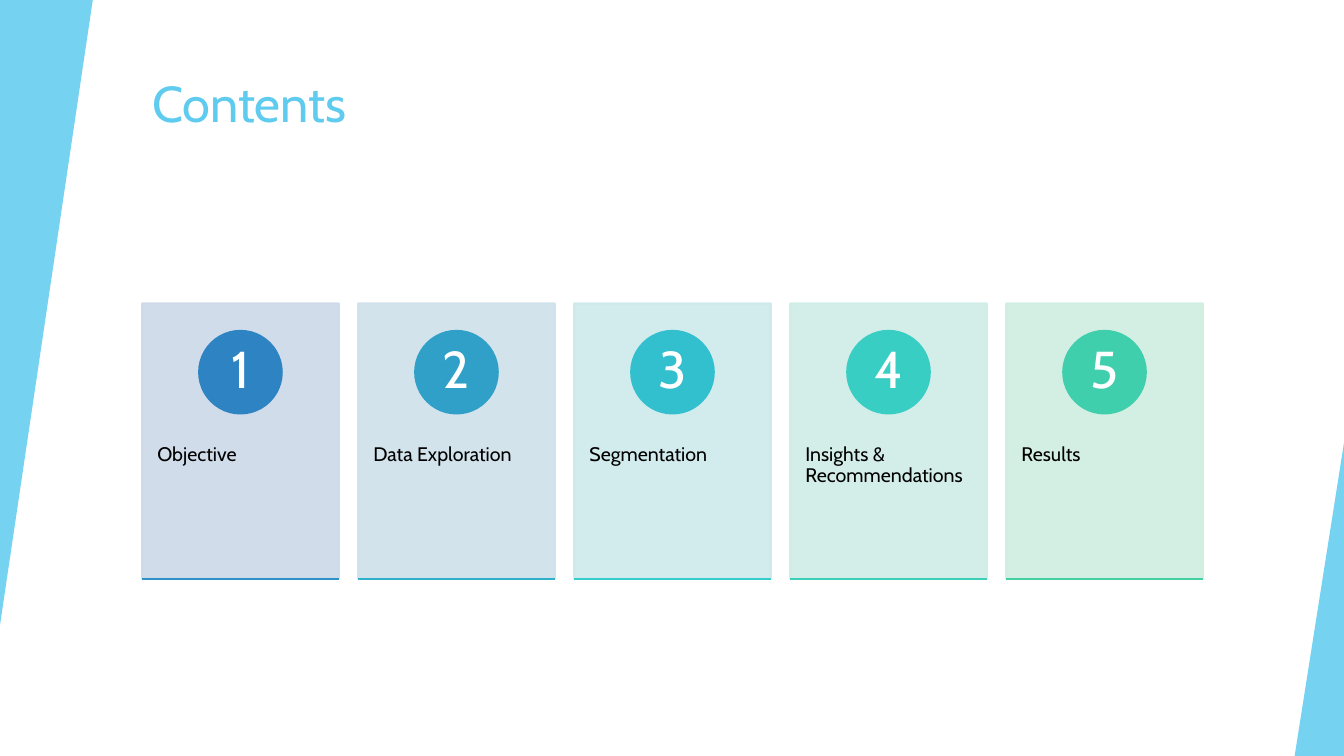
import pptx
import pptx.util
import pptx.dml.color
import pptx.enum.shapes
import pptx.enum.text
import pptx.oxml
import pptx.oxml.ns
from dataclasses import dataclass

Inches, Pt = pptx.util.Inches, pptx.util.Pt
SHAPE = pptx.enum.shapes.MSO_SHAPE
ALIGN = pptx.enum.text.PP_ALIGN
ANCHOR = pptx.enum.text.MSO_ANCHOR


@dataclass(frozen=True)
class Theme:
    font: str = "Cabin"
    accent: str = "5FCBEF"
    text: str = "000000"
    inverse: str = "FFFFFF"
    title_size: int = 36
    number_size: int = 37
    label_size: int = 14
    line_width: float = 1.5


THEME = Theme()

# Label, card tint, circle colour, underline colour
CONTENTS = [
    ("Objective", "CDD9E9", "2E83C3", "2F92C6"),
    ("Data Exploration", "CEE1EB", "30A0C8", "31B0CB"),
    ("Segmentation", "CEE9EC", "32BFCE", "35CCCE"),
    ("Insights & Recommendations", "CFEDE7", "39CEC4", "3CCFB8"),
    ("Results", "CFEEE0", "3FCFAD", "42D0A2"),
]


def rgb(color):
    return pptx.dml.color.RGBColor.from_string(color)


def set_opacity(fill, percent):
    color = fill._xPr.find(".//" + pptx.oxml.ns.qn("a:srgbClr"))
    alpha = pptx.oxml.parse_xml(
        f'<a:alpha {pptx.oxml.ns.nsdecls("a")} val="{percent * 1000}"/>')
    color.append(alpha)


def add_shape(s, kind, x, y, w, h, color, opacity=100, outlined=True):
    sp = s.shapes.add_shape(kind, Inches(x), Inches(y), Inches(w), Inches(h))
    sp.shadow.inherit = False
    fills = [sp.fill]
    if outlined:
        sp.line.width = Pt(THEME.line_width)
        fills.append(sp.line.fill)
    else:
        sp.line.fill.background()
    for fill in fills:
        fill.solid()
        fill.fore_color.rgb = rgb(color)
        if opacity < 100:
            set_opacity(fill, opacity)
    return sp


def write(sp, text, size, color=THEME.text, align=ALIGN.LEFT,
          anchor=ANCHOR.TOP, margins=(0.1, 0.05), spacing=0.9):
    tf = sp.text_frame
    tf.word_wrap = True
    tf.auto_size = pptx.enum.text.MSO_AUTO_SIZE.NONE
    tf.vertical_anchor = anchor
    tf.margin_left = tf.margin_right = Inches(margins[0])
    tf.margin_top = tf.margin_bottom = Inches(margins[1])
    p = tf.paragraphs[0]
    p.alignment, p.line_spacing = align, spacing
    r = p.add_run()
    r.text = text
    r.font.name, r.font.size = THEME.font, Pt(size)
    r.font.color.rgb = rgb(color)


def add_underline(s, x, y, w, color):
    line = s.shapes.add_connector(pptx.enum.shapes.MSO_CONNECTOR.STRAIGHT,
                                  Inches(x), Inches(y), Inches(x + w), Inches(y))
    line.line.color.rgb = rgb(color)
    line.line.width = Pt(THEME.line_width)
    line._element.spPr.append(
        pptx.oxml.parse_xml(f'<a:effectLst {pptx.oxml.ns.nsdecls("a")}/>'))


def add_side_wedges(s, x, y, w, h):
    # Right-angled wedges in the top left and bottom right corners
    left_w, left_h, right_w, right_h = 0.92, 6.2, 0.49, 3.11
    for box, turn in (((x, y, left_w, left_h), 180),
                      ((x + w - right_w, y + h - right_h, right_w, right_h), 0)):
        wedge = add_shape(s, SHAPE.ISOSCELES_TRIANGLE, *box, THEME.accent,
                          opacity=85, outlined=False)
        wedge.adjustments[0] = 1
        wedge.rotation = turn


def add_title(s, text, x, y, w, h):
    title = s.shapes.title
    title.left, title.top = Inches(x), Inches(y)
    title.width, title.height = Inches(w), Inches(h)
    write(title, text, THEME.title_size, THEME.accent, spacing=1.0)


def add_card(s, number, item, x, y, w, h):
    label, tint, circle_color, line_color = item
    add_shape(s, SHAPE.RECTANGLE, x, y, w, h, tint, opacity=90)

    # Label
    box = s.shapes.add_textbox(Inches(x), Inches(y + 0.38 * h),
                               Inches(w), Inches(0.6 * h))
    write(box, label, THEME.label_size, margins=(0.15, 0.36))

    # Numbered circle
    d = 0.3 * h
    circle = add_shape(s, SHAPE.OVAL, x + (w - d) / 2, y + 0.1 * h, d, d,
                       circle_color)
    write(circle, str(number), THEME.number_size, THEME.inverse, ALIGN.CENTER,
          ANCHOR.MIDDLE, margins=(0.06, 0.01))

    add_underline(s, x, y + h, w, line_color)


def add_cards(s, items, x, y, w, h, card_w=1.95):
    pitch = (w - card_w) / (len(items) - 1)
    for i, item in enumerate(items):
        add_card(s, i + 1, item, x + i * pitch, y, card_w, h)


prs = pptx.Presentation()
prs.slide_width, prs.slide_height = Inches(13.33), Inches(7.5)
s = prs.slides.add_slide(prs.slide_layouts[5])
add_side_wedges(s, 0, 0, 13.33, 7.5)
add_title(s, "Contents", 1.41, 0.67, 11.15, 1.2)
add_cards(s, CONTENTS, 1.41, 3.01, 10.52, 2.73)
prs.save("out.pptx")
